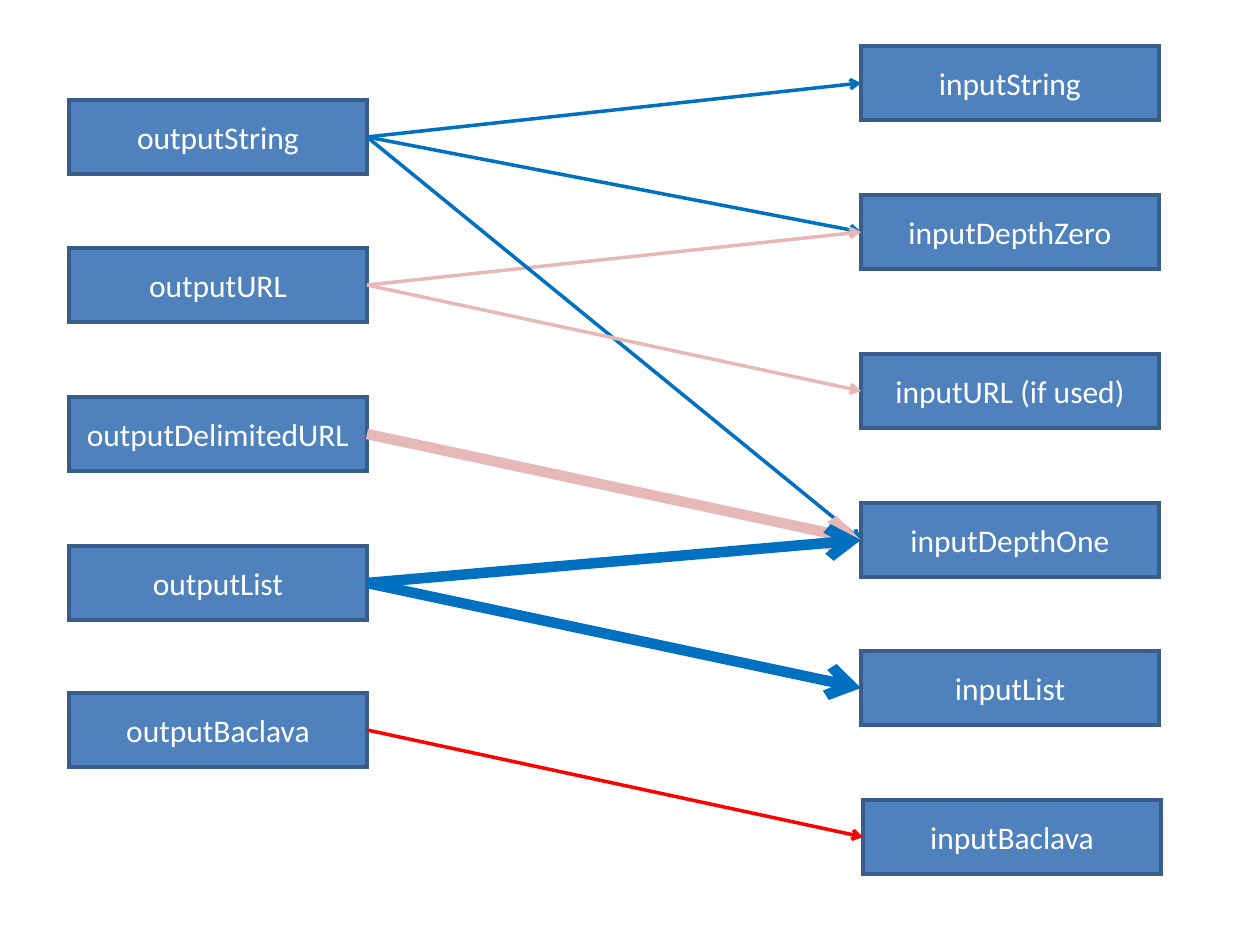
from dataclasses import dataclass

from lxml.etree import SubElement
from pptx import Presentation
from pptx.dml.color import RGBColor as RGB
from pptx.enum.shapes import MSO_CONNECTOR as Connector, MSO_SHAPE as Shape
from pptx.enum.text import MSO_ANCHOR as Anchor, PP_ALIGN as Align
from pptx.oxml.ns import qn
from pptx.util import Pt

EMU_PER_PX = 914400 / 126
RIGHT_SIDE, LEFT_SIDE = 3, 1


@dataclass(frozen=True)
class Theme:
    font: str = "Calibri"
    size: int = 18
    text: str = "FFFFFF"
    fill: str = "4F81BD"
    border: str = "385D8A"
    string: str = "0070C0"
    url: str = "E6B9B8"
    baclava: str = "FF0000"
    thin: int = 2
    thick: int = 6


THEME = Theme()
BOX_W, BOX_H = 298, 74
OUT_X, IN_X = 69, 861

# Ports: name, left, top
PORTS = [
    ("outputString", OUT_X, 100),
    ("outputURL", OUT_X, 248),
    ("outputDelimitedURL", OUT_X, 397),
    ("outputList", OUT_X, 546),
    ("outputBaclava", OUT_X, 693),
    ("inputString", IN_X, 46),
    ("inputDepthZero", IN_X, 195),
    ("inputURL (if used)", IN_X, 354),
    ("inputDepthOne", IN_X, 503),
    ("inputList", IN_X, 651),
    ("inputBaclava", IN_X + 2, 800),
]

# Links from back to front: output, input, colour, width
LINKS = [
    ("outputString", "inputString", THEME.string, THEME.thin),
    ("outputString", "inputDepthZero", THEME.string, THEME.thin),
    ("outputURL", "inputDepthZero", THEME.url, THEME.thin),
    ("outputString", "inputDepthOne", THEME.string, THEME.thin),
    ("outputDelimitedURL", "inputDepthOne", THEME.url, THEME.thick),
    ("outputList", "inputList", THEME.string, THEME.thick),
    ("outputList", "inputDepthOne", THEME.string, THEME.thick),
    ("outputBaclava", "inputBaclava", THEME.baclava, THEME.thin),
    ("outputURL", "inputURL (if used)", THEME.url, THEME.thin),
]


def px(n):
    return round(n * EMU_PER_PX)


def set_line(sp, color, width, **ends):
    sp.line.color.rgb = RGB.from_string(color)
    sp.line.width = Pt(width)
    ln = sp._element.spPr.find(qn("a:ln"))
    SubElement(ln, qn("a:miter"), lim="800000")
    for end, kind in ends.items():
        SubElement(ln, qn(f"a:{end}"), type=kind)


def write_text(tf, text, *, size=THEME.size, color=THEME.text, align=Align.CENTER):
    tf.word_wrap = True
    tf.vertical_anchor = Anchor.MIDDLE
    p = tf.paragraphs[0]
    p.alignment = align
    r = p.add_run()
    r.text = text
    r.font.name = THEME.font
    r.font.size = Pt(size)
    r.font.color.rgb = RGB.from_string(color)


def add_port(slide, name, x, y):
    sp = slide.shapes.add_shape(Shape.RECTANGLE, px(x), px(y), px(BOX_W), px(BOX_H))
    sp.shadow.inherit = False
    sp.fill.solid()
    sp.fill.fore_color.rgb = RGB.from_string(THEME.fill)
    set_line(sp, THEME.border, THEME.thin)
    write_text(sp.text_frame, name)
    return sp


def add_link(slide, source, target, color, width):
    link = slide.shapes.add_connector(
        Connector.STRAIGHT,
        source.left + source.width, source.top + source.height // 2,
        target.left, target.top + target.height // 2,
    )
    link.begin_connect(source, RIGHT_SIDE)
    link.end_connect(target, LEFT_SIDE)
    set_line(link, color, width, tailEnd="arrow")
    SubElement(link._element.spPr, qn("a:effectLst"))  # no shadow


def main():
    prs = Presentation()
    prs.slide_width, prs.slide_height = px(1260), px(945)
    slide = prs.slides.add_slide(prs.slide_layouts.get_by_name("Blank"))

    # Boxes, then the arrows that join them
    ports = {name: add_port(slide, name, x, y) for name, x, y in PORTS}
    for source, target, color, width in LINKS:
        add_link(slide, ports[source], ports[target], color, width)

    prs.save("out.pptx")


if __name__ == "__main__":
    main()
